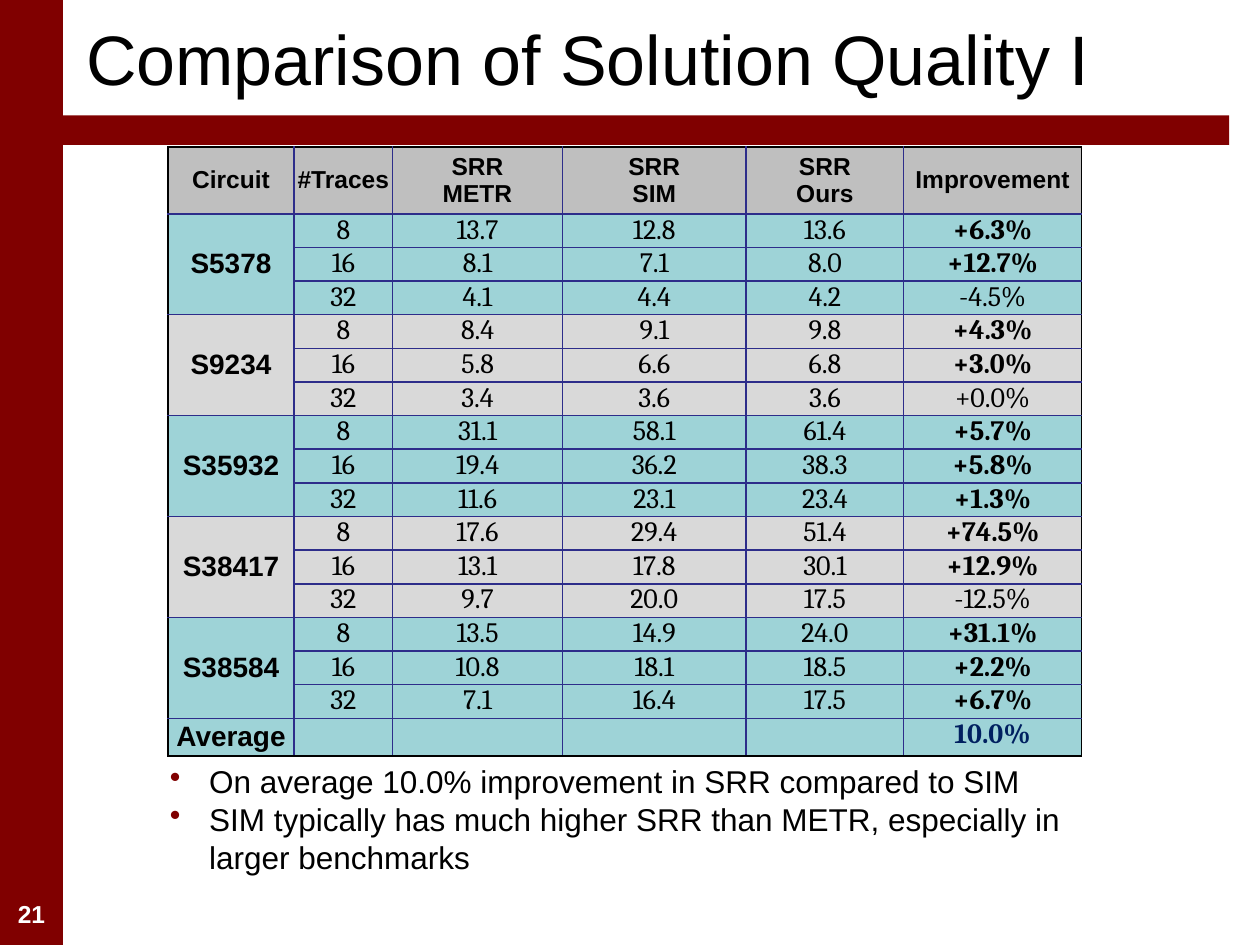
from dataclasses import dataclass

from lxml import etree
from pptx import Presentation
from pptx import util as u
from pptx.dml import color
from pptx.enum import shapes, text
from pptx.oxml import ns

Pt = u.Pt


@dataclass(frozen=True)
class Theme:
    maroon: str = "800000"
    black: str = "000000"
    white: str = "FFFFFF"
    navy: str = "002060"
    grid: str = "2D2D8A"
    header: str = "BFBFBF"
    teal: str = "9ED3D7"
    grey: str = "D9D9D9"
    sans: str = "Arial"
    serif: str = "Cambria"
    title: int = 40
    body: int = 18
    cell: int = 16
    small: int = 14


THEME = Theme()
HEADERS = ["Circuit", "#Traces", "SRR\nMETR", "SRR\nSIM", "SRR\nOurs", "Improvement"]
TRACES = ["8", "16", "32"]
RESULTS = {
    "S5378": ["13.7 12.8 13.6 +6.3%", "8.1 7.1 8.0 +12.7%", "4.1 4.4 4.2 -4.5%"],
    "S9234": ["8.4 9.1 9.8 +4.3%", "5.8 6.6 6.8 +3.0%", "3.4 3.6 3.6 +0.0%"],
    "S35932": ["31.1 58.1 61.4 +5.7%", "19.4 36.2 38.3 +5.8%", "11.6 23.1 23.4 +1.3%"],
    "S38417": ["17.6 29.4 51.4 +74.5%", "13.1 17.8 30.1 +12.9%", "9.7 20.0 17.5 -12.5%"],
    "S38584": ["13.5 14.9 24.0 +31.1%", "10.8 18.1 18.5 +2.2%", "7.1 16.4 17.5 +6.7%"],
}
COLUMN_WIDTHS = [72, 56.4, 97, 105, 90, 101.6]
HEADER_HEIGHT, ROW_HEIGHT, AVERAGE_HEIGHT = 38.2, 17.3, 19.4
FINDINGS = [
    "On average 10.0% improvement in SRR compared to SIM",
    "SIM typically has much higher SRR than METR, especially in larger benchmarks",
]


def set_all(target, values):
    for name, value in values.items():
        setattr(target, name, value)


def write(frame, lines, size, tint=THEME.black, font=THEME.sans, bold=False,
          align=text.PP_ALIGN.LEFT):
    """Fill a text frame with one paragraph per line."""
    for index, line in enumerate(lines):
        para = frame.add_paragraph() if index else frame.paragraphs[0]
        para.alignment = align
        span = para.add_run()
        span.text = line
        set_all(span.font, {"name": font, "size": Pt(size), "bold": bold})
        span.font.color.rgb = color.RGBColor.from_string(tint)


def add_bar(page, left, top, width, height, rotation=0):
    bar = page.shapes.add_shape(shapes.MSO_SHAPE.RECTANGLE,
                                Pt(left), Pt(top), Pt(width), Pt(height))
    bar.rotation = rotation
    bar.shadow.inherit = False
    bar.fill.solid()
    bar.fill.fore_color.rgb = color.RGBColor.from_string(THEME.maroon)
    bar.line.fill.background()


def add_text(page, left, top, width, height, lines, size, **style):
    box = page.shapes.add_textbox(Pt(left), Pt(top), Pt(width), Pt(height))
    set_all(box.text_frame, {"word_wrap": True,
                             "auto_size": text.MSO_AUTO_SIZE.SHAPE_TO_FIT_TEXT})
    write(box.text_frame, lines, size, **style)
    return box


def add_bullets(frame, indent):
    for para in frame.paragraphs:
        props = para._p.get_or_add_pPr()
        props.set("marL", str(Pt(indent)))
        props.set("indent", str(-Pt(indent)))
        tint = etree.SubElement(props, ns.qn("a:buClr"))
        etree.SubElement(tint, ns.qn("a:srgbClr"), val=THEME.maroon)
        etree.SubElement(props, ns.qn("a:buChar"), char="•")


def set_borders(cell, outer_sides):
    """Draw grid lines, with black ones on the table's outer sides."""
    props = cell._tc.get_or_add_tcPr()
    for index, side in enumerate("LRTB"):
        line = etree.Element(ns.qn(f"a:ln{side}"), w=str(Pt(1)))
        fill = etree.SubElement(line, ns.qn("a:solidFill"))
        tint = THEME.black if side in outer_sides else THEME.grid
        etree.SubElement(fill, ns.qn("a:srgbClr"), val=tint)
        props.insert(index, line)


def table_rows():
    """Yield the fill and the texts of each row."""
    yield THEME.header, HEADERS
    for group, (circuit, results) in enumerate(RESULTS.items()):
        fill = THEME.grey if group % 2 else THEME.teal
        for index, (traces, values) in enumerate(zip(TRACES, results)):
            yield fill, ["" if index else circuit, traces, *values.split()]
    yield THEME.teal, ["Average", "", "", "", "", "10.0%"]


def cell_style(row, column, value, last_row):
    if row == 0:
        return {"size": THEME.small, "bold": True}
    if column == 0:
        return {"size": THEME.cell, "bold": True}
    style = {"size": THEME.cell, "font": THEME.serif}
    if row == last_row:
        style.update(bold=True, tint=THEME.navy)
    elif value.startswith("+") and value != "+0.0%":
        style["bold"] = True
    return style


def add_results(page, left, top, width, height):
    rows = list(table_rows())
    last_row, last_column = len(rows) - 1, len(HEADERS) - 1
    holder = page.shapes.add_table(len(rows), len(HEADERS),
                                   Pt(left), Pt(top), Pt(width), Pt(height))
    table = holder.table
    set_all(table, {"first_row": False, "horz_banding": False})
    for column, size in zip(table.columns, COLUMN_WIDTHS):
        column.width = Pt(size)
    heights = [HEADER_HEIGHT] + [ROW_HEIGHT] * (last_row - 1) + [AVERAGE_HEIGHT]
    for row, size in zip(table.rows, heights):
        row.height = Pt(size)
    holder.height = Pt(height)

    for r, (fill, values) in enumerate(rows):
        for c, value in enumerate(values):
            cell = table.cell(r, c)
            middle = r == 0 or c == 0
            set_all(cell, {
                "margin_left": Pt(0.7), "margin_right": Pt(0.7),
                "margin_top": 0, "margin_bottom": 0,
                "vertical_anchor": text.MSO_ANCHOR.MIDDLE if middle else text.MSO_ANCHOR.TOP,
            })
            cell.fill.solid()
            cell.fill.fore_color.rgb = color.RGBColor.from_string(fill)
            edges = {"L": c == 0, "R": c == last_column, "T": r == 0, "B": r == last_row}
            set_borders(cell, [side for side, outer in edges.items() if outer])
            if value:
                write(cell.text_frame, value.split("\n"), align=text.PP_ALIGN.CENTER,
                      **cell_style(r, c, value, last_row))

    # One circuit name per group of trace counts
    for first in range(1, last_row, len(TRACES)):
        table.cell(first, 0).merge(table.cell(first + len(TRACES) - 1, 0))


def add_title(page, left, top, width, height, line):
    title = page.shapes.title
    set_all(title, {"left": Pt(left), "top": Pt(top),
                    "width": Pt(width), "height": Pt(height)})
    set_all(title.text_frame, {"vertical_anchor": text.MSO_ANCHOR.MIDDLE,
                               "word_wrap": True,
                               "auto_size": text.MSO_AUTO_SIZE.NONE})
    write(title.text_frame, [line], THEME.title)


def main():
    deck = Presentation()
    set_all(deck, {"slide_width": Pt(720), "slide_height": Pt(540)})
    page = deck.slides.add_slide(deck.slide_layouts[5])

    # Frame: side bar, page number and title rule
    add_bar(page, -252, 252, 540, 36, rotation=270)
    add_text(page, 0, 510, 36, 24, ["21"], THEME.small, tint=THEME.white,
             bold=True, align=text.PP_ALIGN.CENTER)
    add_bar(page, 30, 66, 672.5, 16.8)

    # Title, results and findings
    add_title(page, 42, -6, 660, 78, "Comparison of Solution Quality I")
    add_results(page, 96, 84, 522, 348)
    findings = add_text(page, 90, 432, 546, 72.7, FINDINGS, THEME.body)
    add_bullets(findings.text_frame, 22.5)

    deck.save("out.pptx")


if __name__ == "__main__":
    main()
